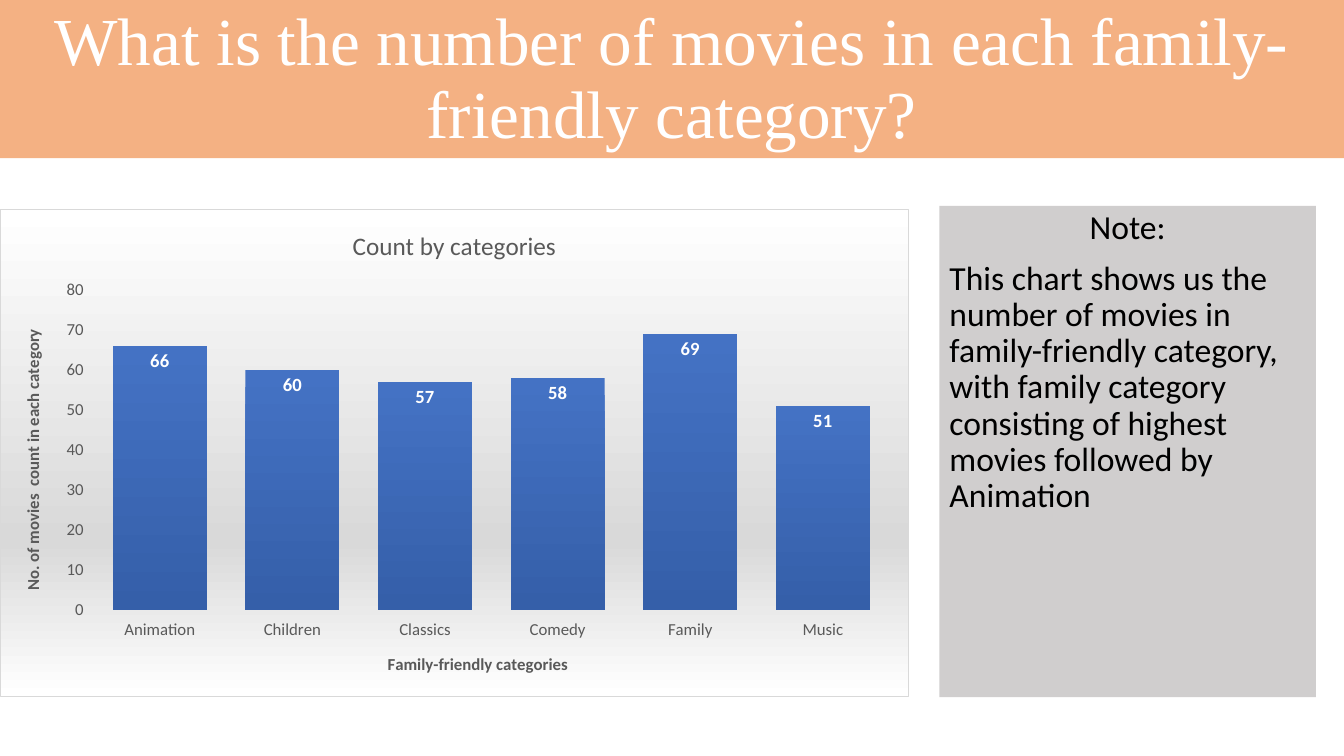
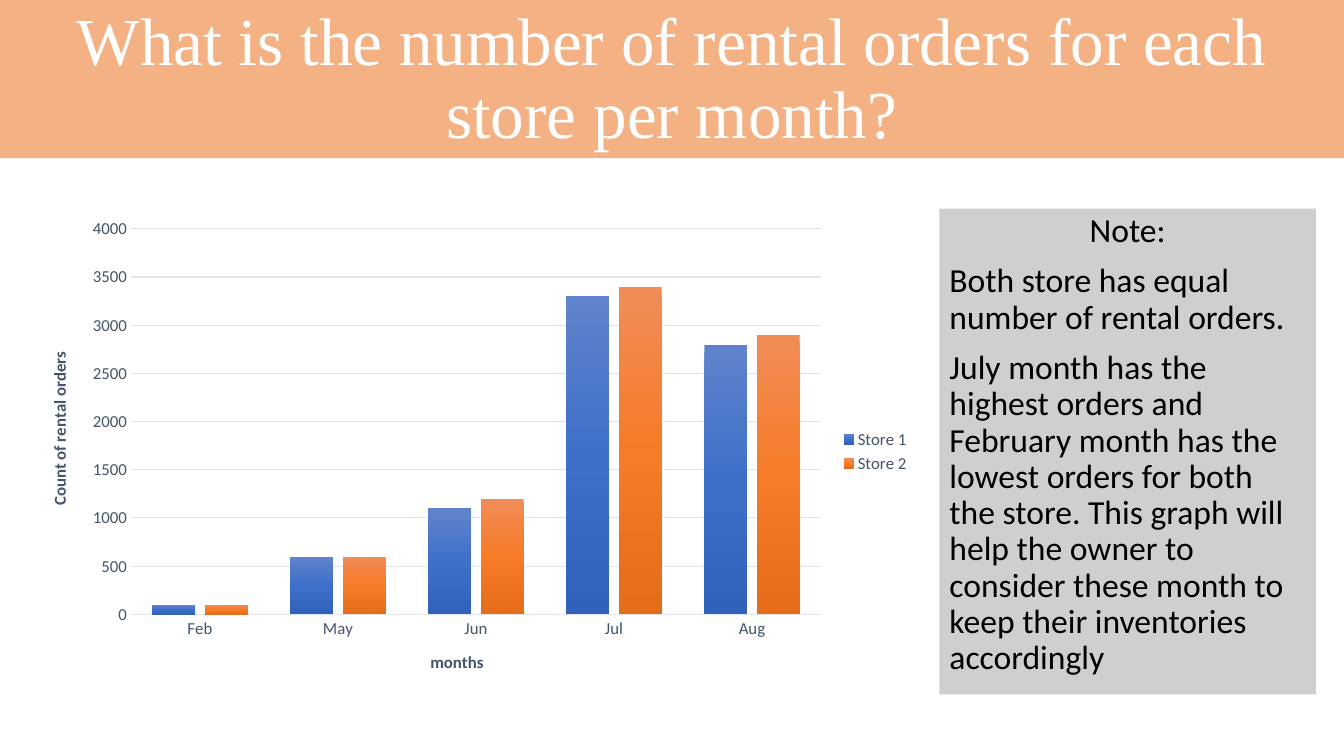
"""Build two slides that chart movie counts and rental orders beside a note."""
from pptx import Presentation
from pptx import util as u
from pptx.chart.data import CategoryChartData
from pptx.dml.color import RGBColor
from pptx.enum import chart as charts, text
from pptx.oxml import parse_xml
from pptx.oxml.ns import nsdecls, qn

WIDTH, HEIGHT = 960, 540
BAND, NOTE, WHITE, BLACK = "F4B183", "D0CECE", "FFFFFF", "000000"
HEADING_FONT, BODY_FONT = "Times New Roman", "Calibri"
LEFT, CENTER = text.PP_ALIGN.LEFT, text.PP_ALIGN.CENTER


def color(value):
    return RGBColor.from_string(value)


def style(font, size, fill, name=BODY_FONT, bold=False):
    font.size, font.name, font.bold = u.Pt(size), name, bold
    font.color.rgb = color(fill)


def write(para, words, align=None, spacing=None, before=None, **look):
    span = para.add_run()
    span.text = words
    style(span.font, **look)
    if align is not None:
        para.alignment = align
    if spacing is not None:
        para.line_spacing = spacing
    if before is not None:
        para.space_before = u.Pt(before)


def gradient(stops):
    marks = "".join(
        f'<a:gs pos="{place * 1000}"><a:srgbClr val="{value}"/></a:gs>'
        for place, value in stops)
    return (f'<a:gradFill {nsdecls("a")} rotWithShape="1"><a:gsLst>{marks}</a:gsLst>'
            '<a:lin ang="5400000" scaled="0"/></a:gradFill>')


class Slides:
    def __init__(self):
        self.deck = Presentation()
        self.deck.slide_width, self.deck.slide_height = u.Pt(WIDTH), u.Pt(HEIGHT)
        self.page = None

    def block(self, index, fill, left, top, width, height, anchor):
        box = self.page.placeholders[index]
        box.left, box.top, box.width, box.height = map(u.Pt, (left, top, width, height))
        box.fill.solid()
        box.fill.fore_color.rgb = color(fill)
        frame = box.text_frame
        frame.auto_size = text.MSO_AUTO_SIZE.NONE
        frame.word_wrap = True
        frame.vertical_anchor = anchor
        return frame

    def start(self, heading):
        self.page = self.deck.slides.add_slide(self.deck.slide_layouts[0])
        frame = self.block(0, BAND, 0, 0, WIDTH, 113, text.MSO_ANCHOR.BOTTOM)
        write(frame.paragraphs[0], heading, align=CENTER, spacing=0.9,
              size=48, fill=WHITE, name=HEADING_FONT)

    def note(self, top, height, *lines):
        frame = self.block(1, NOTE, 671, top, 269, height, text.MSO_ANCHOR.TOP)
        look = dict(spacing=0.9, before=10, size=24, fill=BLACK)
        write(frame.paragraphs[0], "Note:", align=CENTER, **look)
        for line in lines:
            write(frame.add_paragraph(), line, align=LEFT, **look)

    def columns(self, area, plot_area, categories, series, ink, gap, overlap=0):
        data = CategoryChartData()
        data.categories = categories
        for name, values, stops in series:
            data.add_series(name, values)
        chart = self.page.shapes.add_chart(
            charts.XL_CHART_TYPE.COLUMN_CLUSTERED, *map(u.Pt, area), data).chart
        style(chart.font, 12, ink)
        chart.has_title = chart.has_legend = False
        plot = chart.plots[0]
        plot.vary_by_categories = False
        plot.gap_width, plot.overlap = gap, overlap
        for bars, (name, values, stops) in zip(plot.series, series):
            bars._element.get_or_add_spPr().append(parse_xml(gradient(stops)))
        self.place_plot(chart, area, plot_area)
        return chart

    def place_plot(self, chart, area, plot_area):
        left, top, width, height = plot_area
        parts = zip("xywh", (left / area[2], top / area[3],
                             width / area[2], height / area[3]))
        sizes = "".join(f'<c:{key} val="{part:.4f}"/>' for key, part in parts)
        region = chart.element.find(".//" + qn("c:plotArea"))
        for old in region.findall(qn("c:layout")):
            region.remove(old)
        region.insert(0, parse_xml(
            f'<c:layout {nsdecls("c")}><c:manualLayout><c:layoutTarget val="inner"/>'
            f'<c:xMode val="edge"/><c:yMode val="edge"/>{sizes}'
            '</c:manualLayout></c:layout>'))

    def axis(self, axis, title, ink, tick, line=None):
        frame = axis.axis_title.text_frame
        write(frame.paragraphs[0], title, size=12, fill=ink, bold=True)
        style(axis.tick_labels.font, 12, ink)
        axis.major_tick_mark, axis.minor_tick_mark = tick, charts.XL_TICK_MARK.NONE
        axis.has_major_gridlines = False
        self.line(axis.format.line, line)

    def value_axis(self, axis, title, ink, tick, top, step, grid=None):
        self.axis(axis, title, ink, tick)
        axis.axis_title.element.find(".//" + qn("a:bodyPr")).set("rot", "-5400000")
        axis.minimum_scale, axis.maximum_scale, axis.major_unit = 0, top, step
        if grid:
            axis.has_major_gridlines = True
            self.line(axis.major_gridlines.format.line, grid)

    def line(self, line, fill):
        if fill:
            line.color.rgb = color(fill)
            line.width = u.Pt(0.75)
        else:
            line.fill.background()

    def chart_title(self, chart, words, ink):
        chart.has_title = True
        chart.chart_title.include_in_layout = False
        write(chart.chart_title.text_frame.paragraphs[0], words, size=18, fill=ink)

    def background(self, chart, stops, border):
        chart.element.find(qn("c:txPr")).addprevious(parse_xml(
            f'<c:spPr {nsdecls("c", "a")}>{gradient(stops)}<a:ln w="9525"><a:solidFill>'
            f'<a:srgbClr val="{border}"/></a:solidFill></a:ln></c:spPr>'))

    def value_labels(self, chart):
        labels = chart.plots[0].series[0].data_labels
        labels.show_value = True
        labels.position = charts.XL_LABEL_POSITION.INSIDE_END
        style(labels.font, 13.3, WHITE, bold=True)

    def legend(self, chart, ink):
        chart.has_legend = True
        chart.legend.position = charts.XL_LEGEND_POSITION.RIGHT
        chart.legend.include_in_layout = False
        style(chart.legend.font, 12, ink)


def movies(slides):
    ink, tick = "595959", charts.XL_TICK_MARK.OUTSIDE
    slides.start("What is the number of movies in each family-friendly category?")
    slides.note(147, 351, "This chart shows us the number of movies in family-friendly "
                "category, with family category consisting of highest movies "
                "followed by Animation")
    chart = slides.columns(
        (0, 149, 649, 349), (66.5, 58, 569, 229),
        ["Animation", "Children", "Classics", "Comedy", "Family", "Music"],
        [("Series 1", (66, 60, 57, 58, 69, 51), [(0, "4472C4"), (100, "355FA9")])],
        ink, gap=41)
    slides.chart_title(chart, "Count by categories", ink)
    slides.axis(chart.category_axis, "Family-friendly categories", ink, tick)
    slides.value_axis(chart.value_axis, "No. of movies  count in each category",
                      ink, tick, 80, 10)
    slides.value_labels(chart)
    slides.background(chart, [(0, WHITE), (68, "D9D9D9"), (100, WHITE)], "D9D9D9")


def rentals(slides):
    ink, rule, tick = "44546A", "E0E5EB", charts.XL_TICK_MARK.NONE
    slides.start("What is the number of rental orders for each store per month?")
    slides.note(149, 347, "Both store has equal number of rental orders.",
                "July month has the highest orders and February month has the lowest "
                "orders for both the store. This graph will help the owner to consider "
                "these month to keep their inventories accordingly")
    chart = slides.columns(
        (19.5, 149, 638, 347), (74, 14.5, 493, 275.5),
        ["Feb", "May", "Jun", "Jul", "Aug"],
        [("Store 1", (100, 600, 1100, 3300, 2800),
          [(0, "6183CB"), (50, "3E70CA"), (100, "3062BB")]),
         ("Store 2", (100, 600, 1200, 3400, 2900),
          [(0, "F18C57"), (50, "F67B28"), (100, "E56C19")])],
        ink, gap=100, overlap=-24)
    slides.axis(chart.category_axis, "months", ink, tick, rule)
    slides.value_axis(chart.value_axis, "Count of rental orders", ink, tick,
                      4000, 500, rule)
    slides.legend(chart, ink)


slides = Slides()
movies(slides)
rentals(slides)
slides.deck.save("out.pptx")
